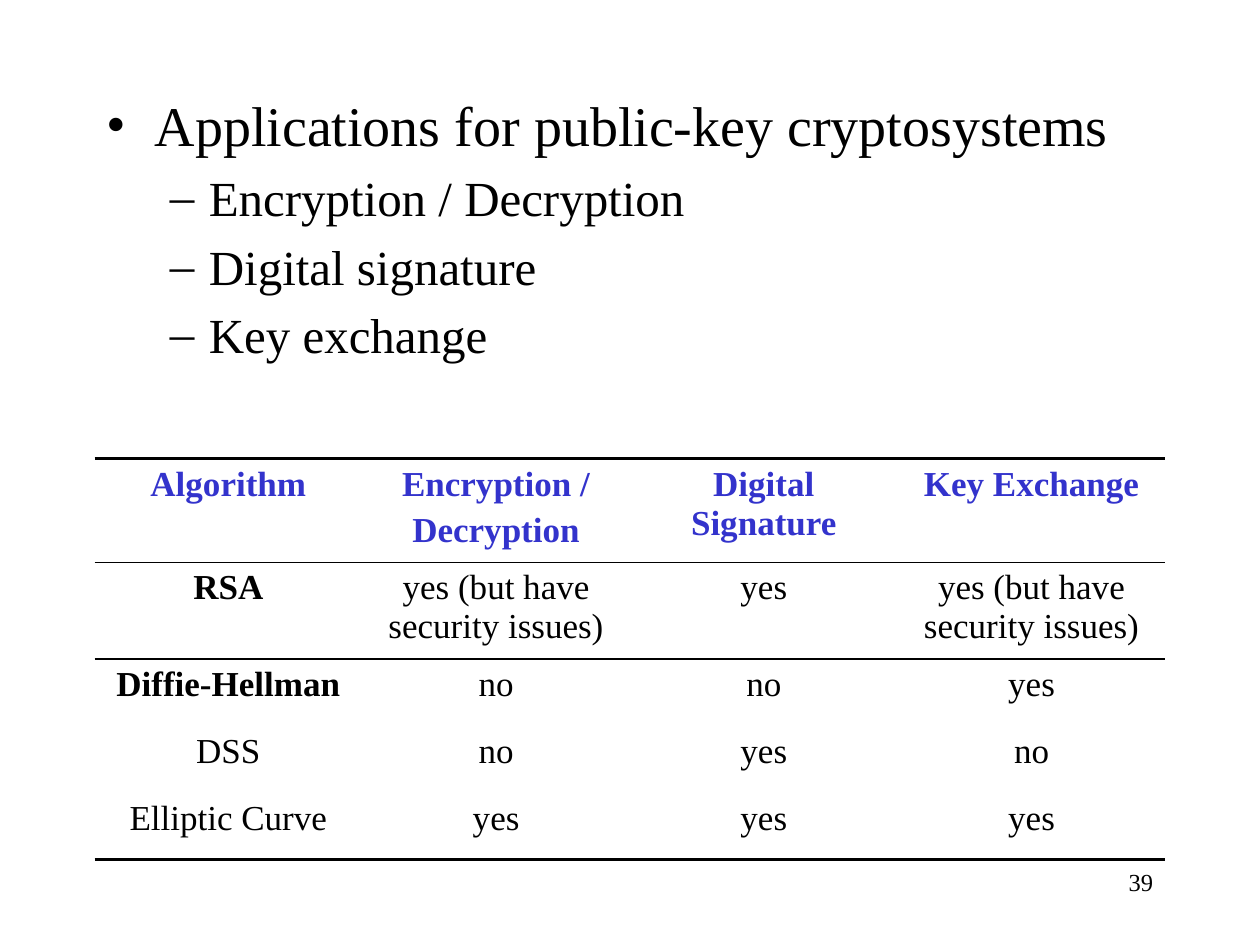
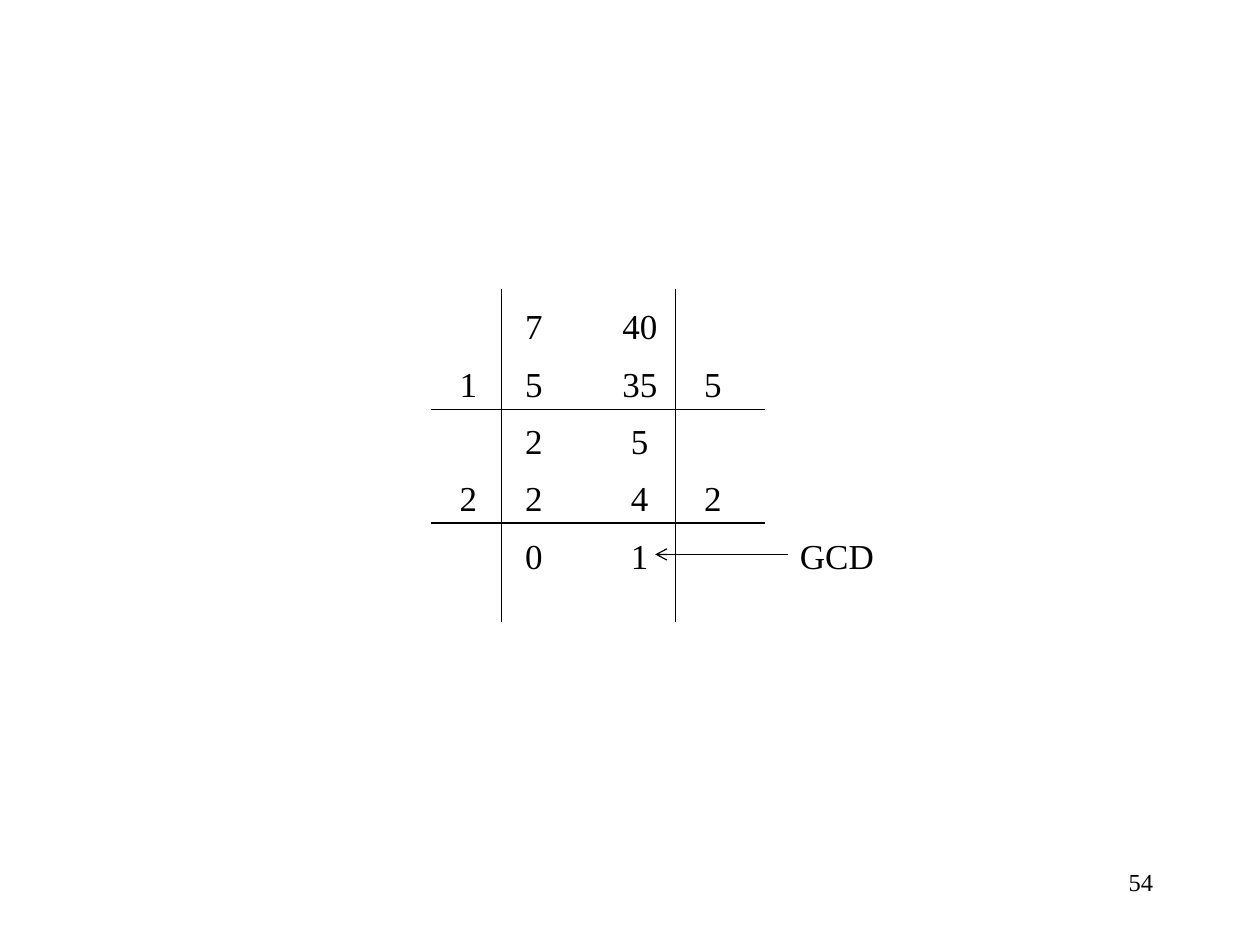
from dataclasses import dataclass
from typing import NamedTuple

from lxml import etree
from pptx import Presentation
from pptx import util as u
from pptx.dml.color import RGBColor
from pptx.enum import shapes, text
from pptx.oxml import ns


@dataclass(frozen=True)
class Theme:
    font: str = "Times New Roman"
    ink: str = "000000"
    head: str = "3333CC"
    main: int = 32
    sub: int = 28
    cell: int = 20
    page: int = 14
    thin: float = 0.75
    rule: float = 1
    edge: float = 2.25


class Box(NamedTuple):
    left: float
    top: float
    width: float
    height: float


class Point(NamedTuple):
    text: str
    size: int
    mark: str
    left: float
    hang: float


class Line(NamedTuple):
    x1: float
    y1: float
    x2: float
    y2: float
    arrow: bool = False


class Step(NamedTuple):
    texts: tuple[str, str, str, str]


THEME = Theme()
PAGE = Box(7.17, 6.83, 2.08, 0.5)
NO_GRID = "{2D5ABB26-0587-4C30-8999-92F81FD0307C}"

POINTS = [Point("Applications for public-key cryptosystems", THEME.main, "•", 0.38, 0.38)] + [
    Point(name, THEME.sub, "–", 0.81, 0.31)
    for name in ("Encryption / Decryption", "Digital signature", "Key exchange")
]

ISSUES = "yes (but have security issues)"
ROWS = [
    ("Algorithm", "Encryption /\nDecryption", "Digital Signature", "Key Exchange"),
    ("RSA", ISSUES, "yes", ISSUES),
    ("Diffie-Hellman", "no", "no", "yes"),
    ("DSS", "no", "yes", "no"),
    ("Elliptic Curve", "yes", "yes", "yes"),
]
BOLD = {"RSA", "Diffie-Hellman"}

STEPS = [
    Step(("", "7", "40", "")),
    Step(("1", "5", "35", "5")),
    Step(("", "2", "5", "")),
    Step(("2", "2", "4", "2")),
    Step(("", "0", "1", "")),
]
MIDS = (3.72, 4.24, 5.08, 5.66)
FIRST, LAST = 2.37, 4.19
LINES = [Line(3.42, y, 6.07, y) for y in (3.25, 4.15)]
LINES += [Line(x, 2.29, x, 4.94) for x in (3.98, 5.36)]
LINES.append(Line(6.25, 4.4, 5.2, 4.4, True))


def add_node(node, tag: str, **attrs: str):
    return etree.SubElement(node, ns.qn(tag), attrs)


def style(para, size: int, color: str = THEME.ink, bold: bool = False) -> None:
    for run in para.runs:
        font = run.font
        font.name, font.size, font.bold = THEME.font, u.Pt(size), bold
        font.color.rgb = RGBColor.from_string(color)


def space(para):
    props = para._p.get_or_add_pPr()
    add_node(add_node(props, "a:spcBef"), "a:spcPct", val="20000")
    return props


def add_text(slide, box: Box, words: str, size: int, wrap: bool = False,
             align=text.PP_ALIGN.LEFT):
    frame = slide.shapes.add_textbox(*map(u.Inches, box)).text_frame
    frame.word_wrap = wrap
    frame.text = words
    for para in frame.paragraphs:
        para.alignment = align
        style(para, size)
    return frame


def add_page(slide, number: int) -> None:
    add_text(slide, PAGE, str(number), THEME.page, True, text.PP_ALIGN.RIGHT)


def add_points(slide, box: Box, points: list[Point]) -> None:
    words = "\n".join(point.text for point in points)
    frame = add_text(slide, box, words, THEME.main, True)
    for para, point in zip(frame.paragraphs, points):
        style(para, point.size)
        props = space(para)
        props.set("marL", str(u.Inches(point.left)))
        props.set("indent", str(-u.Inches(point.hang)))
        add_node(props, "a:buFont", typeface=THEME.font)
        add_node(props, "a:buChar", char=point.mark)


def add_edge(cell, tag: str, width: float) -> None:
    line = add_node(cell._tc.get_or_add_tcPr(), tag, w=str(u.Pt(width)))
    add_node(add_node(line, "a:solidFill"), "a:srgbClr", val=THEME.ink)


def add_grid(slide, box: Box, rows: list[tuple[str, ...]]) -> None:
    last = len(rows) - 1
    table = slide.shapes.add_table(len(rows), len(rows[0]), *map(u.Inches, box)).table
    table.first_row = table.horz_banding = False
    table._tbl.tblPr.find(ns.qn("a:tableStyleId")).text = NO_GRID
    tops = {0: THEME.edge, 1: THEME.rule}
    bases = {0: THEME.rule, last: THEME.edge}
    for r, row in enumerate(rows):
        for c, words in enumerate(row):
            cell = table.cell(r, c)
            cell.text_frame.text = words
            for para in cell.text_frame.paragraphs:
                para.alignment = text.PP_ALIGN.CENTER
                space(para)
                color = THEME.ink if r else THEME.head
                style(para, THEME.cell, color, r == 0 or words in BOLD)
            for tag, widths in (("a:lnT", tops), ("a:lnB", bases)):
                if r in widths:
                    add_edge(cell, tag, widths[r])
            cell.fill.background()


def add_line(slide, line: Line) -> None:
    ends = map(u.Inches, line[:4])
    shape = slide.shapes.add_connector(shapes.MSO_CONNECTOR.STRAIGHT, *ends)
    shape.line.width = u.Pt(THEME.thin)
    shape.line.color.rgb = RGBColor.from_string(THEME.ink)
    props = shape._element.spPr
    if line.arrow:
        add_node(props.find(ns.qn("a:ln")), "a:tailEnd", type="arrow")
    add_node(props, "a:effectLst")


def add_steps(slide, steps: list[Step]) -> None:
    pitch = (LAST - FIRST) / (len(steps) - 1)
    for row, step in enumerate(steps):
        for mid, words in zip(MIDS, step.texts):
            if words:
                width = 0.2 + 0.14 * len(words)
                box = Box(mid - width / 2, FIRST + row * pitch, width, 0.44)
                add_text(slide, box, words, THEME.cell)


def main() -> None:
    deck = Presentation()
    deck.slide_width, deck.slide_height = u.Inches(10), u.Inches(7.5)
    blank = deck.slide_layouts[6]

    uses = deck.slides.add_slide(blank)
    add_points(uses, Box(0.75, 0.67, 8.5, 2.67), POINTS)
    add_grid(uses, Box(0.75, 3.64, 8.5, 2.65), ROWS)
    add_page(uses, 39)

    euclid = deck.slides.add_slide(blank)
    add_steps(euclid, STEPS)
    add_text(euclid, Box(6.25, LAST, 0.8, 0.44), "GCD", THEME.cell)
    for line in LINES:
        add_line(euclid, line)
    add_page(euclid, 54)

    deck.save("out.pptx")


if __name__ == "__main__":
    main()
